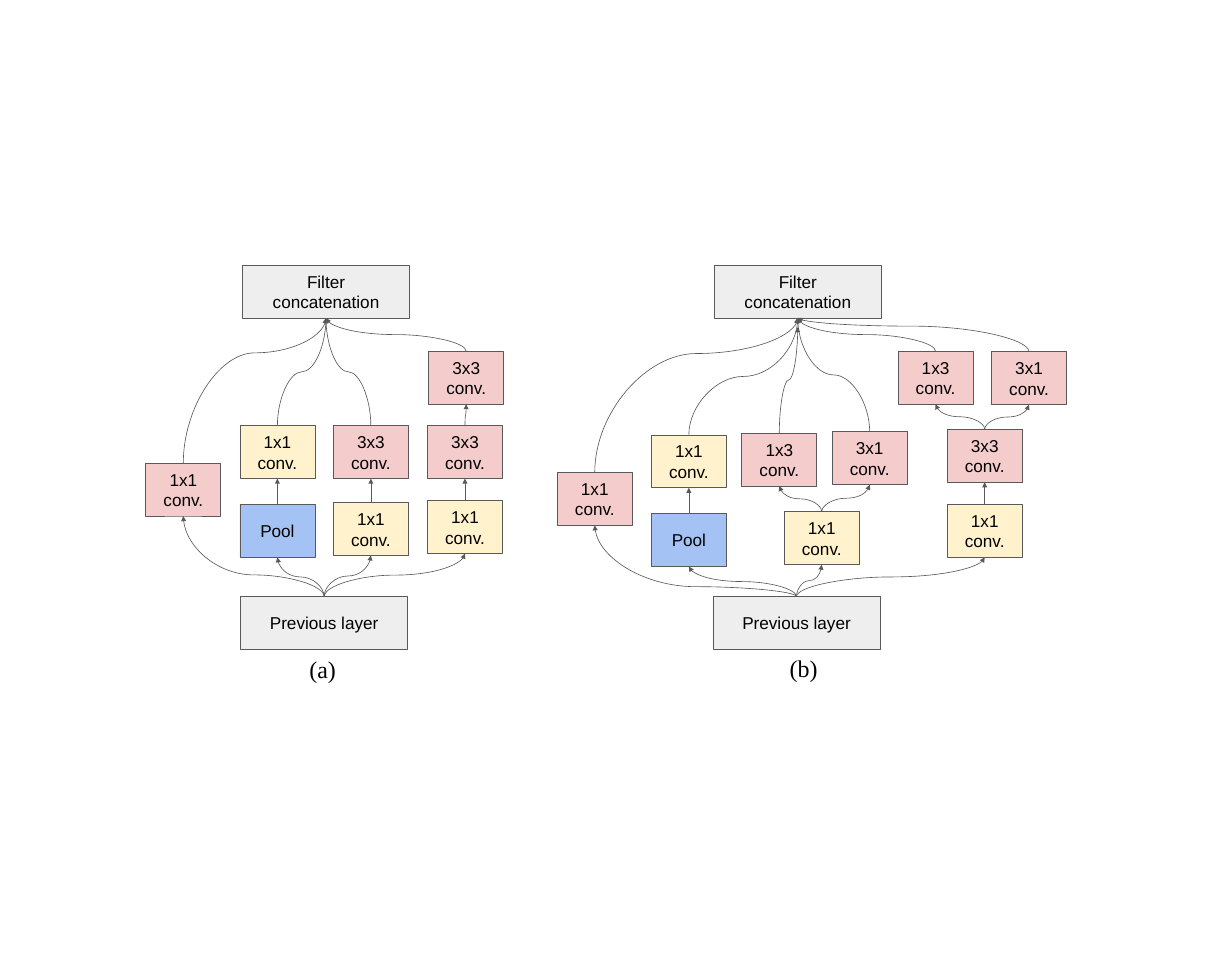
from lxml import etree
from pptx import Presentation
from pptx.dml.color import RGBColor
from pptx.enum.shapes import MSO_CONNECTOR, MSO_SHAPE
from pptx.enum.text import MSO_ANCHOR, PP_ALIGN
from pptx.oxml.ns import qn
from pptx.util import Inches, Pt

RECT = MSO_SHAPE.RECTANGLE
CURVE = MSO_CONNECTOR.CURVE
MIDDLE, TOP = MSO_ANCHOR.MIDDLE, MSO_ANCHOR.TOP
CENTER, LEFT = PP_ALIGN.CENTER, PP_ALIGN.LEFT

COLORS = {"layer": "EEEEEE", "reduce": "FFF2CC", "conv": "F4CCCC",
          "pool": "A4C2F4", "line": "595959", "text": "000000"}
BLOCK_W, LAYER_W, BLOCK_H = 1.22, 2.72, 0.86

BLOCKS_A = {
    "previous": ("Previous layer", "layer", 1.54, 5.39),
    "concat": ("Filter concatenation", "layer", 1.57, 0),
    "single": ("1x1 conv.", "conv", 0, 3.22),
    "pool": ("Pool", "pool", 1.53, 3.89),
    "pool_conv": ("1x1 conv.", "reduce", 1.53, 2.61),
    "short_reduce": ("1x1 conv.", "reduce", 3.05, 3.86),
    "short_conv": ("3x3 conv.", "conv", 3.05, 2.61),
    "deep_reduce": ("1x1 conv.", "reduce", 4.58, 3.83),
    "deep_conv": ("3x3 conv.", "conv", 4.58, 2.61),
    "deep_top": ("3x3 conv.", "conv", 4.6, 1.4),
}
FLOWS_A = [
    ("previous", "single", 0.27), ("previous", "pool"),
    ("previous", "short_reduce"), ("previous", "deep_reduce"),
    ("pool", "pool_conv"), ("short_reduce", "short_conv"),
    ("deep_reduce", "deep_conv"), ("deep_conv", "deep_top"),
    ("single", "concat", 0.76), ("pool_conv", "concat"),
    ("short_conv", "concat"), ("deep_top", "concat"),
]
BLOCKS_B = {
    "previous": ("Previous layer", "layer", 2.53, 5.39),
    "concat": ("Filter concatenation", "layer", 2.55, 0),
    "single": ("1x1 conv.", "conv", 0, 3.37),
    "pool": ("Pool", "pool", 1.53, 4.04),
    "pool_conv": ("1x1 conv.", "reduce", 1.53, 2.76),
    "short_reduce": ("1x1 conv.", "reduce", 3.69, 4.01),
    "short_1x3": ("1x3 conv.", "conv", 3, 2.73),
    "short_3x1": ("3x1 conv.", "conv", 4.47, 2.71),
    "deep_reduce": ("1x1 conv.", "reduce", 6.34, 3.89),
    "deep_conv": ("3x3 conv.", "conv", 6.34, 2.67),
    "deep_1x3": ("1x3 conv.", "conv", 5.54, 1.4),
    "deep_3x1": ("3x1 conv.", "conv", 7.06, 1.41),
}
FLOWS_B = [
    ("previous", "single", 0.14), ("previous", "pool"),
    ("previous", "short_reduce"), ("previous", "deep_reduce"),
    ("pool", "pool_conv"), ("short_reduce", "short_1x3"),
    ("short_reduce", "short_3x1"), ("deep_reduce", "deep_conv"),
    ("deep_conv", "deep_1x3"), ("deep_conv", "deep_3x1"),
    ("single", "concat", 0.77), ("pool_conv", "concat"),
    ("short_1x3", "concat", 0.5, 0.15), ("short_3x1", "concat"),
    ("deep_1x3", "concat"), ("deep_3x1", "concat", 0.76),
]


def rgb(name):
    """Return the named colour."""
    return RGBColor.from_string(COLORS[name])


def write(sp, text, size=20.1, font="Arial", align=CENTER, anchor=MIDDLE):
    """Write one formatted paragraph into a shape."""
    tf = sp.text_frame
    tf.word_wrap = True
    tf.vertical_anchor = anchor
    tf.margin_left = tf.margin_right = Inches(0.2)
    tf.margin_top = tf.margin_bottom = Inches(0.2)
    p = tf.paragraphs[0]
    p.alignment = align
    r = p.add_run()
    r.text = text
    r.font.size = Pt(size)
    r.font.name = font
    r.font.color.rgb = rgb("text")


def add_block(s, x, y, w, text, kind):
    """Draw one labelled block."""
    sp = s.shapes.add_shape(RECT, Inches(x), Inches(y), Inches(w), Inches(BLOCK_H))
    sp.shadow.inherit = False
    sp.fill.solid()
    sp.fill.fore_color.rgb = rgb(kind)
    sp.line.color.rgb = rgb("line")
    sp.line.width = Pt(0.75)
    write(sp, text)


def add_flow(s, x1, y1, x2, y2, bend=0.5):
    """Draw an upward S-curve arrow that turns at the given share of its rise."""
    mid_x, mid_y = (x1 + x2) / 2, (y1 + y2) / 2
    side = 1 if x2 >= x1 else -1
    half_rise, half_run = side * (y1 - y2) / 2, abs(x2 - x1) / 2
    c = s.shapes.add_connector(
        CURVE, Inches(mid_x - half_rise), Inches(mid_y - half_run),
        Inches(mid_x + half_rise), Inches(mid_y + half_run))
    c.rotation = 270 if side > 0 else 90
    c.line.color.rgb = rgb("line")
    c.line.width = Pt(0.75)
    props = c._element.spPr
    etree.SubElement(props.find(qn("a:ln")), qn("a:tailEnd"), type="triangle")
    etree.SubElement(props, qn("a:effectLst"))
    etree.SubElement(props.find(".//" + qn("a:avLst")), qn("a:gd"),
                     name="adj1", fmla=f"val {round(bend * 100000)}")


def add_diagram(s, x, y, blocks, flows, caption, caption_x, caption_y):
    """Draw blocks, arrows and caption relative to the top left corner x, y."""
    anchors = {}
    for name, (text, kind, dx, dy) in blocks.items():
        w = LAYER_W if kind == "layer" else BLOCK_W
        add_block(s, x + dx, y + dy, w, text, kind)
        anchors[name] = (x + dx + w / 2, y + dy)
    for source, target, *options in flows:
        bend, gap = options + [0.5, 0][len(options):]
        x1, y1 = anchors[source]
        x2, y2 = anchors[target]
        add_flow(s, x1, y1, x2, y2 + BLOCK_H + gap, bend)
    tb = s.shapes.add_textbox(Inches(x + caption_x), Inches(y + caption_y),
                              Inches(0.93), Inches(1.01))
    write(tb, caption, size=28, font="Times New Roman", align=LEFT, anchor=TOP)


def main():
    """Build the slide with both diagrams."""
    prs = Presentation()
    prs.slide_width, prs.slide_height = Inches(20.03), Inches(15.77)
    s = prs.slides.add_slide(prs.slide_layouts[6])
    add_diagram(s, 2.37, 4.31, BLOCKS_A, FLOWS_A, "(a)", 2.46, 6.14)
    add_diagram(s, 9.06, 4.31, BLOCKS_B, FLOWS_B, "(b)", 3.58, 6.11)
    prs.save("out.pptx")


if __name__ == "__main__":
    main()
